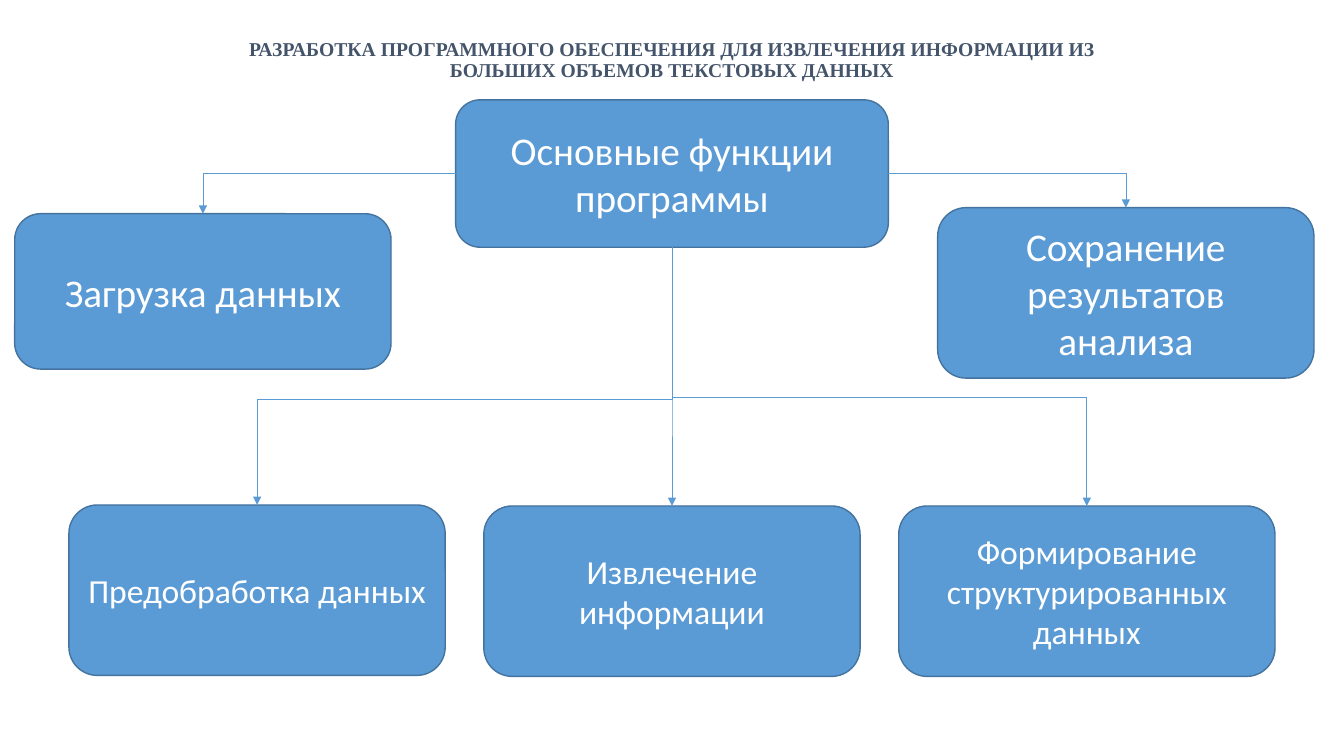
"""Build the slide that shows the main functions of the program as a tree."""
from lxml.etree import SubElement
from pptx import Presentation
from pptx.dml.color import RGBColor
from pptx.enum.shapes import MSO_CONNECTOR, MSO_SHAPE
from pptx.enum.text import MSO_ANCHOR as Anchor, PP_ALIGN as Align
from pptx.oxml.ns import qn
from pptx.util import Inches, Pt

WHITE = RGBColor(0xFF, 0xFF, 0xFF)
BLUE = RGBColor(0x5B, 0x9B, 0xD5)
BORDER = RGBColor(0x43, 0x73, 0x9E)
SLATE = RGBColor(0x44, 0x54, 0x6A)

WIDTH, HEIGHT = Inches(13.33), Inches(7.5)
COLUMN, ROW = WIDTH / 100, HEIGHT / 100
CENTER, PITCH = 50, 30.87
BOX_WIDTH, BOX_HEIGHT = 28, 22.55
TOP, LEFT, BOTTOM, RIGHT = range(4)

TITLE = ("РАЗРАБОТКА ПРОГРАММНОГО ОБЕСПЕЧЕНИЯ ДЛЯ ИЗВЛЕЧЕНИЯ ИНФОРМАЦИИ ИЗ "
         "БОЛЬШИХ ОБЪЕМОВ ТЕКСТОВЫХ ДАННЫХ")
TITLE_FONT = {"name": "Times New Roman", "size": Pt(14), "bold": True}
BOX_FONT = {"name": "Calibri", "size": Pt(28)}
STEP_FONT = {"name": "Calibri", "size": Pt(24)}
STEPS = [
    ("Предобработка данных", 66.8, 0.59),
    ("Извлечение информации", 66.93, 0.5),
    ("Формирование структурированных данных", 66.93, 0.58),
]


def place(center, top, width, height):
    """Turn grid columns and rows into left, top, width and height."""
    return (round((center - width / 2) * COLUMN), round(top * ROW),
            round(width * COLUMN), round(height * ROW))


def write(shape, text, color, font):
    """Put one centred, formatted paragraph into a shape."""
    frame = shape.text_frame
    frame.word_wrap = True
    frame.vertical_anchor = Anchor.MIDDLE
    paragraph = frame.paragraphs[0]
    paragraph.alignment = Align.CENTER
    run = paragraph.add_run()
    run.text = text
    run.font.color.rgb = color
    for name, value in font.items():
        setattr(run.font, name, value)
    return paragraph


def add_title(slide):
    """Add the heading at the top of the slide."""
    shape = slide.shapes.add_textbox(*place(CENTER, 4, 67.5, 8.13))
    write(shape, TITLE, SLATE, TITLE_FONT).line_spacing = 0.9


def add_box(slide, text, center, top, width=BOX_WIDTH, height=BOX_HEIGHT, font=BOX_FONT):
    """Add a rounded box with a label."""
    shape = slide.shapes.add_shape(MSO_SHAPE.ROUNDED_RECTANGLE,
                                   *place(center, top, width, height))
    shape.shadow.inherit = False
    shape.fill.solid()
    shape.fill.fore_color.rgb = BLUE
    shape.line.color.rgb = BORDER
    shape.line.width = Pt(1)
    write(shape, text, WHITE, font)
    return shape


def add_arrow(slide, source, side, target):
    """Join a side of one box to the top of another by an elbow arrow."""
    connector = slide.shapes.add_connector(MSO_CONNECTOR.ELBOW, 0, 0, 0, 0)
    connector.begin_connect(source, side)
    connector.end_connect(target, TOP)
    connector.line.color.rgb = BLUE
    connector.line.width = Pt(0.5)
    properties = connector._element.spPr
    SubElement(properties.find(qn("a:ln")), qn("a:tailEnd"), type="triangle")
    SubElement(properties, qn("a:effectLst"))
    return connector


def bend_once(connector):
    """Give the arrow a single corner."""
    connector._element.spPr.find(qn("a:prstGeom")).set("prst", "bentConnector2")


def bend_down(connector, share):
    """Make the arrow leave downwards and turn at a share of its height."""
    start_x, start_y = connector.begin_x, connector.begin_y
    end_x, end_y = connector.end_x, connector.end_y
    across, down = abs(end_x - start_x), end_y - start_y
    properties = connector._element.spPr
    frame = properties.find(qn("a:xfrm"))
    for name in ("flipH", "flipV"):
        frame.attrib.pop(name, None)
    rightward = end_x > start_x
    frame.set("rot", str((270 if rightward else 90) * 60000))
    if rightward:
        frame.set("flipH", "1")
    bounds = {"left": (start_x + end_x - down) // 2,
              "top": (start_y + end_y - across) // 2,
              "width": down, "height": across}
    for name, value in bounds.items():
        setattr(connector, name, value)
    guides = properties.find(qn("a:prstGeom")).get_or_add_avLst()
    SubElement(guides, qn("a:gd"), name="adj1", fmla=f"val {round(share * 100000)}")


def main():
    """Build and save the slide."""
    presentation = Presentation()
    presentation.slide_width, presentation.slide_height = WIDTH, HEIGHT
    slide = presentation.slides.add_slide(presentation.slide_layouts[6])
    add_title(slide)
    root = add_box(slide, "Основные функции программы", CENTER, 13.2, 32.2, 19.5)
    loading = add_box(slide, "Загрузка данных", 15.1, 28.27, height=20.55)
    saving = add_box(slide, "Сохранение результатов анализа", 83.77, 27.47)
    for side, target in ((LEFT, loading), (RIGHT, saving)):
        bend_once(add_arrow(slide, root, side, target))
    for index, (text, top, share) in enumerate(STEPS, start=-1):
        step = add_box(slide, text, CENTER + index * PITCH, top, font=STEP_FONT)
        bend_down(add_arrow(slide, root, BOTTOM, step), share)
    presentation.save("out.pptx")


if __name__ == "__main__":
    main()
